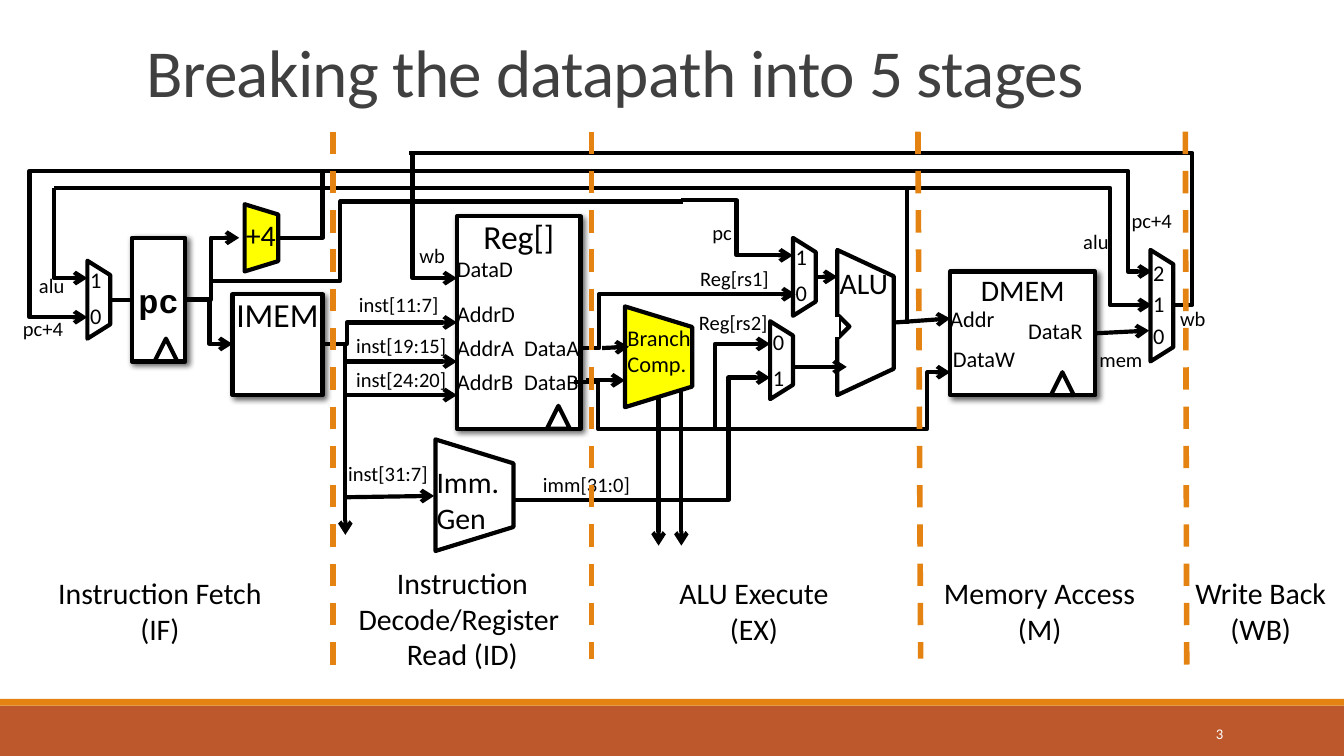
import pptx
import pptx.util
import pptx.dml.color
import pptx.enum.dml
import pptx.enum.shapes
import pptx.enum.text
import pptx.oxml
import pptx.oxml.ns

KIND = pptx.enum.shapes.MSO_SHAPE
LINK = pptx.enum.shapes.MSO_CONNECTOR
ALIGN = pptx.enum.text.PP_ALIGN
ANCHOR = pptx.enum.text.MSO_ANCHOR
FIT = pptx.enum.text.MSO_AUTO_SIZE
Pt = pptx.util.Pt
NS = pptx.oxml.ns.nsdecls("a")
BLACK, WHITE, YELLOW, ORANGE = "000000", "FFFFFF", "FFFF00", "E48312"
LEFT, MID, RIGHT = ALIGN.LEFT, ALIGN.CENTER, ALIGN.RIGHT

SHADE = (f'<a:effectLst {NS}><a:outerShdw blurRad="38100" dist="25400" dir="2700000">'
         '<a:srgbClr val="000000"><a:alpha val="60000"/></a:srgbClr>'
         '</a:outerShdw></a:effectLst>')


def grid(*cells):
    """Lengths in columns or rows; the slide is 100 columns by 56.25 rows."""
    return [pptx.util.Inches(c / 10) for c in cells]


def color(code):
    return pptx.dml.color.RGBColor.from_string(code)


def style(frame, size, ink=BLACK, align=LEFT, font="Calibri", bold=False):
    for para in frame.paragraphs:
        para.alignment = align
        for run in para.runs:
            run.font.size, run.font.name, run.font.bold = Pt(size), font, bold
            run.font.color.rgb = color(ink)


def margins(frame, side, top):
    frame.margin_left, frame.margin_right, frame.margin_top, frame.margin_bottom = \
        grid(side, side, top, top)


def text(slide, words, x, y, w, h=2, size=12, pad=(0, 0), wrap=False,
         align=LEFT, ink=BLACK):
    frame = slide.shapes.add_textbox(*grid(x, y, w, h)).text_frame
    frame.text = words
    frame.word_wrap, frame.auto_size = wrap, FIT.SHAPE_TO_FIT_TEXT
    margins(frame, *pad)
    style(frame, size, ink, align)


def shape(slide, kind, x, y, w, h, fill=None, line=BLACK, turn=0, slant=None):
    item = slide.shapes.add_shape(kind, *grid(x, y, w, h))
    item.shadow.inherit = False
    item.rotation = turn
    if slant is not None:
        item.adjustments[0] = slant
    if fill:
        item.fill.solid()
        item.fill.fore_color.rgb = color(fill)
    else:
        item.fill.background()
    if line:
        item.line.color.rgb, item.line.width = color(line), Pt(2.25)
    else:
        item.line.fill.background()
    return item


def block(slide, words, x, y, w, h, size=18, font="Calibri", bold=False, clock=None):
    """A shaded box with a heading and, if asked, a clock mark on its floor."""
    item = shape(slide, KIND.RECTANGLE, x, y, w, h, WHITE)
    props = item._element.spPr
    props.remove(props.find(pptx.oxml.ns.qn("a:effectLst")))
    props.append(pptx.oxml.parse_xml(SHADE))
    frame = item.text_frame
    frame.text = words
    frame.vertical_anchor = ANCHOR.MIDDLE if bold else ANCHOR.TOP
    margins(frame, 0, 0)
    style(frame, size, BLACK, MID, font, bold)
    if clock:
        shape(slide, KIND.ISOSCELES_TRIANGLE, clock, y + h - 1.7, 1.7, 1.7)
    return item


def funnel(slide, x, y, w, h, slant, fill=WHITE):
    """A trapezoid that narrows to the right; x, y, w, h as seen once turned."""
    shape(slide, KIND.TRAPEZOID, x + (w - h) / 2, y + (h - w) / 2, h, w,
          fill, turn=90, slant=slant)


def mux(slide, x, y, h, ports):
    funnel(slide, x, y, 1.7, h, 0.627)
    for name, top in ports:
        text(slide, name, x + 0.2, top, 0.8)


def wire(slide, x1, y1, x2, y2, bend=None, arrow=True, ink=BLACK, width=2.25):
    """A line; with a bend it runs level, turns at that column, runs level."""
    link = LINK.STRAIGHT if bend is None else LINK.ELBOW
    item = slide.shapes.add_connector(link, *grid(x1, y1, x2, y2))
    item.line.color.rgb, item.line.width = color(ink), Pt(width)
    props = item._element.spPr
    if bend is not None:
        share = round((bend - x1) / (x2 - x1) * 100000)
        props.prstGeom.get_or_add_avLst().append(pptx.oxml.parse_xml(
            f'<a:gd {NS} name="adj1" fmla="val {share}"/>'))
    if arrow:
        props.find(pptx.oxml.ns.qn("a:ln")).append(
            pptx.oxml.parse_xml(f'<a:tailEnd {NS} type="arrow"/>'))
    props.append(pptx.oxml.parse_xml(f"<a:effectLst {NS}/>"))
    return item


def frame_up(slide):
    # Footer bars, page number and title
    shape(slide, KIND.RECTANGLE, 0, 52.5, 100, 3.75, "BD582C", None)
    shape(slide, KIND.RECTANGLE, 0, 52, 100, 0.5, ORANGE, None)
    text(slide, "3", 81.2, 53.4, 10.8, 2.2, 7.9, (1, 0.5), True, RIGHT, WHITE)
    title = slide.shapes.title
    title.left, title.top, title.width, title.height = grid(9.9, 1.8, 82.5, 7)
    frame = title.text_frame
    frame.text = "Breaking the datapath into 5 stages"
    frame.vertical_anchor, frame.auto_size = ANCHOR.BOTTOM, FIT.NONE
    frame.paragraphs[0].line_spacing = 0.85
    style(frame, 36, "404040")
    frame.paragraphs[0].runs[0].font._element.set("spc", "-40")


def units(slide):
    # Branch outputs start behind the comparator
    for x in (49, 50.7):
        wire(slide, x, 28.6, x, 40.6)
    # Boxes
    pc = block(slide, "pc", 9.8, 17.7, 4, 9.2, font="Courier New", bold=True, clock=11.5)
    block(slide, "IMEM", 17.3, 21.9, 6.7, 7.5)
    block(slide, "Reg[]", 34, 16.1, 9.2, 15.8, clock=40.7)
    dmem = block(slide, "DMEM", 70.7, 20.2, 10.8, 9.2, 16, clock=78.2)
    # ALU with its notch
    funnel(slide, 62.3, 18.6, 4.2, 10.8, 0.466)
    shape(slide, KIND.ISOSCELES_TRIANGLE, 62, 23.9, 1.6, 0.8, turn=90)
    wire(slide, 62.3, 23.6, 62.3, 25.1, arrow=False, ink=WHITE)
    text(slide, "ALU", 61.5, 19.2, 5.7, 3.5, 16, (1, 0.5))
    # Adder, immediate maker, comparator
    funnel(slide, 18.2, 15.2, 2.5, 5, 0.307, YELLOW)
    text(slide, "+4", 18.3, 16.1, 2.3, 2.7, 16)
    funnel(slide, 32.4, 32.7, 5.8, 8.3, 0.307)
    text(slide, "Imm.\nGen", 31.5, 34, 6.7, 6.4, 16, (1, 0.5))
    funnel(slide, 46.5, 22.8, 5, 7.5, 0.307, YELLOW)
    text(slide, "Branch Comp.", 45.7, 23.6, 8.3, 5, 12, (1, 0.5), True)
    # Selectors
    mux(slide, 6.5, 19.4, 5.8, [("1", 19.8), ("0", 22.5)])
    mux(slide, 59, 17.7, 5.8, [("1", 18.1), ("0", 20.8)])
    mux(slide, 57.3, 23.9, 5.8, [("0", 24.4), ("1", 27.1)])
    mux(slide, 85.6, 18.6, 8.3, [("2", 19.3), ("1", 21.6), ("0", 24)])
    return pc, dmem


def wires(slide, pc, dmem):
    # Straight runs
    wire(slide, 8.2, 22.3, 9.8, 22.3, arrow=False).end_connect(pc, 1)
    wire(slide, 81.5, 24.8, 85.5, 24.6).begin_connect(dmem, 3)
    for ends in [(66.5, 24, 70.7, 23.7), (60.7, 20.6, 62.3, 20.6),
                 (44.8, 25.9, 46.8, 25.8), (43.6, 28.3, 46.5, 28.3),
                 (25.7, 25.6, 25.7, 39.8), (25.7, 26.9, 34, 26.9),
                 (25.7, 29.4, 34, 29.4), (25.6, 37, 32.3, 36.9),
                 (59, 27.3, 63, 27.3)]:
        wire(slide, *ends)
    for ends in [(67.5, 24.1, 67.5, 14), (67.5, 14, 4, 14)]:
        wire(slide, *ends, arrow=False)
    # Bent runs: from, to, column of the turn
    for ends in [(67.5, 14, 85.7, 22.7, 82.6), (4, 14, 6.5, 20.7, 4),
                 (13.8, 22.3, 17.3, 25.6, 15.6), (13.8, 22.3, 17.8, 17.7, 15.7),
                 (24, 12.7, 85.7, 20.2, 83.9), (24, 12.7, 6.5, 23.6, 2.2),
                 (43.2, 25.9, 59.2, 21.9, 44.6), (50.7, 14.9, 59, 19, 54.8),
                 (24, 25.6, 34, 24, 25.8), (30.7, 11.4, 34, 20.7, 30.7),
                 (53.2, 31.9, 70.7, 27.7, 69), (53.2, 31.9, 57.3, 25.6, 53.2),
                 (38.2, 37.2, 57.3, 28.1, 54.2)]:
        wire(slide, *ends)
    for ends in [(20.7, 17.7, 24, 12.7, 24), (42.7, 28.4, 53.2, 31.9, 44.5),
                 (15.6, 20.9, 50.8, 15, 25.3), (87.3, 22.7, 30.4, 11.4, 88.7)]:
        wire(slide, *ends, arrow=False)


def labels(slide):
    # Port names
    for name, x, y, w in [
            ("DataD", 34, 19, 4.2), ("AddrD", 34, 22.3, 4.4), ("AddrA", 34, 24.9, 4.3),
            ("AddrB", 34, 27.4, 4.2), ("DataA", 39, 24.9, 4.2), ("DataB", 39, 27.4, 4.1),
            ("Addr", 70.7, 22.7, 3.4), ("DataW", 70.9, 25.7, 4.8), ("DataR", 76.5, 23.6, 4.2)]:
        text(slide, name, x, y, w)
    # Signal names
    for name, x, y, w in [
            ("inst[11:7]", 26.7, 21.7, 6), ("inst[19:15]", 26.5, 24.8, 6.8),
            ("inst[24:20]", 26.5, 27.3, 6.8), ("inst[31:7]", 25.9, 34.3, 6),
            ("pc+4", 84.2, 15.5, 3.1), ("alu", 80.6, 17, 1.9), ("mem", 81.8, 25.8, 3.7),
            ("wb", 87.8, 22.8, 1.9), ("alu", 2.9, 20.3, 1.9), ("pc+4", 1.7, 23.5, 3.1),
            ("Reg[rs1]", 52.1, 19.8, 5.7), ("pc", 53, 16.4, 2.4), ("imm[31:0]", 40.4, 35.1, 6.9),
            ("Reg[rs2]", 52, 23.1, 5.8), ("wb", 31.2, 18.1, 1.9)]:
        text(slide, name, x, y, w, 1.9, 11)


def stages(slide):
    # Dashed borders, then the name of each stage
    for top, foot, end in [(24.8, 24.8, 49.8), (44, 44, 49),
                           (68.3, 68.5, 49), (88.2, 88.3, 49.8)]:
        item = wire(slide, top, 9.8, foot, end, arrow=False, ink=ORANGE, width=3)
        item.line.dash_style = pptx.enum.dml.MSO_LINE.DASH
    for name, x, y, w, h in [
            ("Instruction Fetch\n(IF)", 3.2, 42.3, 17.4, 6.4),
            ("Instruction Decode/Register \vRead (ID)", 21.5, 41.5, 25.8, 9.1),
            ("ALU Execute\n(EX)", 43.2, 42.3, 25.8, 6.4),
            ("Memory Access\n(M)", 68.2, 42.3, 18.3, 6.4),
            ("Write Back\n(WB)", 86.7, 42.3, 14.2, 6.4)]:
        text(slide, name, x, y, w, h, 16, (1, 0.5), True, MID)


def main():
    deck = pptx.Presentation()
    deck.slide_width, deck.slide_height = grid(100, 56.25)
    slide = deck.slides.add_slide(deck.slide_layouts[5])
    frame_up(slide)
    pc, dmem = units(slide)
    wires(slide, pc, dmem)
    labels(slide)
    stages(slide)
    deck.save("out.pptx")


if __name__ == "__main__":
    main()
